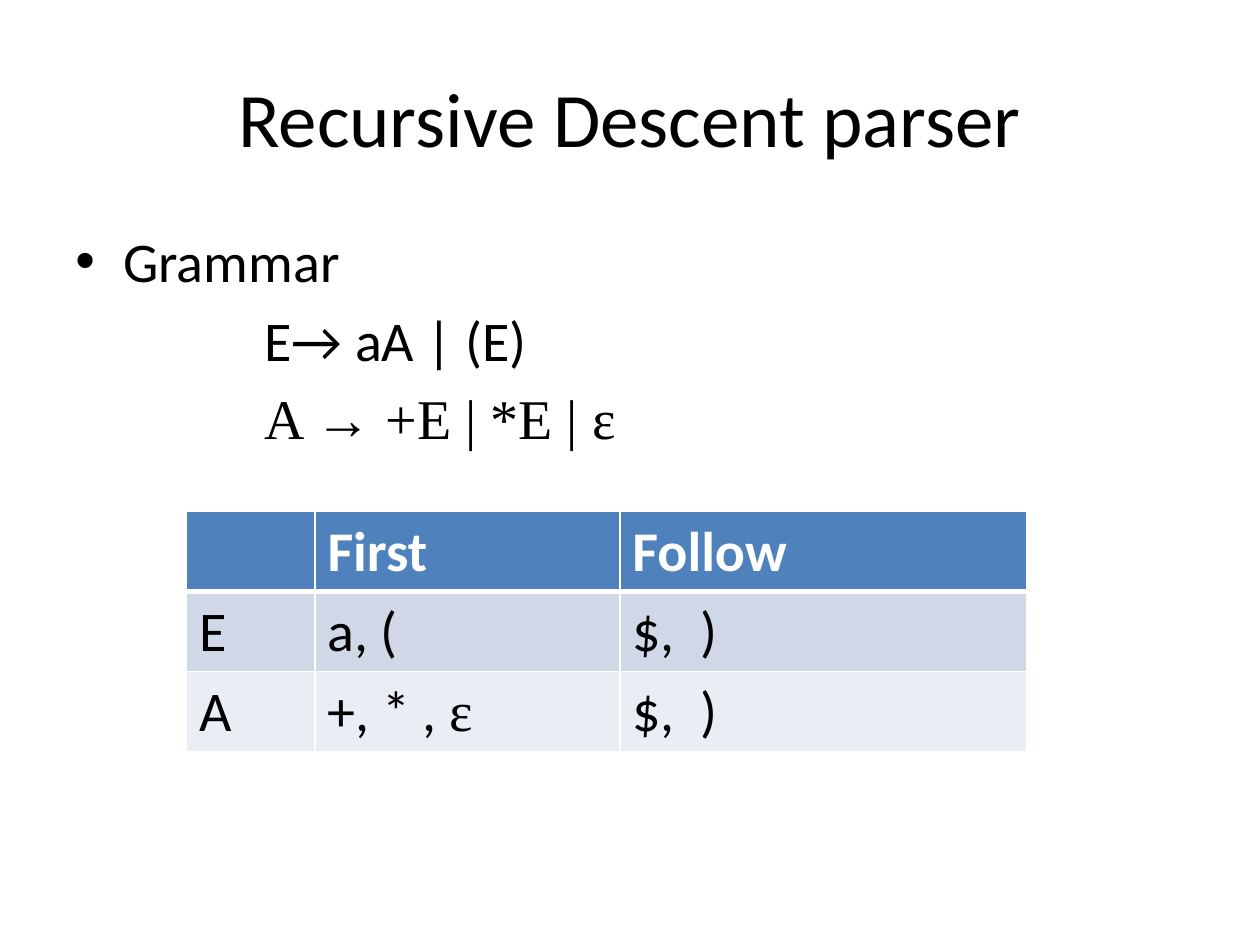
import pptx
import pptx.dml.color
import pptx.enum.text
import pptx.oxml
import pptx.oxml.ns
import pptx.util
from pptx.util import Inches

BLACK = pptx.dml.color.RGBColor(0x00, 0x00, 0x00)
WHITE = pptx.dml.color.RGBColor(0xFF, 0xFF, 0xFF)
HEADER_BLUE = pptx.dml.color.RGBColor(0x4F, 0x81, 0xBD)
BAND_DARK = pptx.dml.color.RGBColor(0xD0, 0xD8, 0xE8)
BAND_LIGHT = pptx.dml.color.RGBColor(0xE9, 0xED, 0xF4)
SANS = "Calibri"
SERIF = "Times New Roman"

COLUMN_WIDTHS = (1.02, 2.42, 3.23)
ROW_HEIGHT = 0.635
# Each cell is a list of (text, font) spans.
SETS = [
    [[], [("First", SANS)], [("Follow", SANS)]],
    [[("E", SANS)], [("a, (", SANS)], [("$,  )", SANS)]],
    [[("A", SANS)], [("+, * , ", SANS), ("ε", SERIF)], [("$,  )", SANS)]],
]
ROW_FILLS = (HEADER_BLUE, BAND_DARK, BAND_LIGHT)


def add_span(para, text, *, font=SANS, size=32, color=BLACK, bold=False):
    span = para.add_run()
    span.text = text
    span.font.name = font
    span.font.size = pptx.util.Pt(size)
    span.font.color.rgb = color
    span.font.bold = bold


def add_box(page, left, top, width, height, anchor):
    box = page.shapes.add_textbox(Inches(left), Inches(top), Inches(width), Inches(height))
    box.text_frame.word_wrap = True
    box.text_frame.vertical_anchor = anchor
    return box.text_frame


def indent(para, margin, first_line, bullet=None):
    """Set a hanging indent in inches, with an optional bullet character."""
    properties = para._p.get_or_add_pPr()
    properties.set("marL", str(Inches(margin)))
    properties.set("indent", str(Inches(first_line)))
    if bullet:
        namespace = pptx.oxml.ns.nsdecls("a")
        for markup in (f'<a:buFont {namespace} typeface="Arial"/>',
                       f'<a:buChar {namespace} char="{bullet}"/>'):
            properties.append(pptx.oxml.parse_xml(markup))


def set_borders(cell, **widths):
    """Draw white borders; widths in points are keyed L, R, T and B."""
    properties = cell._tc.get_or_add_tcPr()
    for index, side in enumerate("LRTB"):
        width = pptx.util.Pt(widths.get(side, 1))
        properties.insert(index, pptx.oxml.parse_xml(
            f'<a:ln{side} {pptx.oxml.ns.nsdecls("a")} w="{width}"><a:solidFill>'
            f'<a:srgbClr val="{WHITE}"/></a:solidFill></a:ln{side}>'))


def add_title(page):
    frame = add_box(page, 0.5, 0.3, 9, 1.25, pptx.enum.text.MSO_ANCHOR.MIDDLE)
    para = frame.paragraphs[0]
    para.alignment = pptx.enum.text.PP_ALIGN.CENTER
    add_span(para, "Recursive Descent parser", size=44)


def add_grammar(page):
    frame = add_box(page, 0.5, 1.75, 9, 4.95, pptx.enum.text.MSO_ANCHOR.TOP)
    heading = frame.paragraphs[0]
    indent(heading, 0.38, -0.38, bullet="•")
    add_span(heading, "Grammar")
    for rule, font in (("E→ aA | (E)", SANS), ("A → +E | *E | ε", SERIF)):
        para = frame.add_paragraph()
        indent(para, 1.75, -0.25)
        para.space_before = pptx.util.Pt(6.4)
        add_span(para, rule, font=font)


def add_sets_table(page):
    table = page.shapes.add_table(
        len(SETS), len(COLUMN_WIDTHS), Inches(1.48), Inches(4.06),
        Inches(sum(COLUMN_WIDTHS)), Inches(ROW_HEIGHT * len(SETS))).table
    for column, width in zip(table.columns, COLUMN_WIDTHS):
        column.width = Inches(width)
    for row_index, (row, fill) in enumerate(zip(SETS, ROW_FILLS)):
        is_header = row_index == 0
        for column_index, spans in enumerate(row):
            cell = table.cell(row_index, column_index)
            cell.fill.solid()
            cell.fill.fore_color.rgb = fill
            set_borders(cell, T=3 if row_index == 1 else 1, B=3 if is_header else 1)
            for text, font in spans:
                add_span(cell.text_frame.paragraphs[0], text, font=font,
                         color=WHITE if is_header else BLACK, bold=is_header)


def main():
    deck = pptx.Presentation()
    deck.slide_width = Inches(10)
    deck.slide_height = Inches(7.5)
    page = deck.slides.add_slide(deck.slide_layouts[6])
    add_title(page)
    add_grammar(page)
    add_sets_table(page)
    deck.save("out.pptx")


if __name__ == "__main__":
    main()
